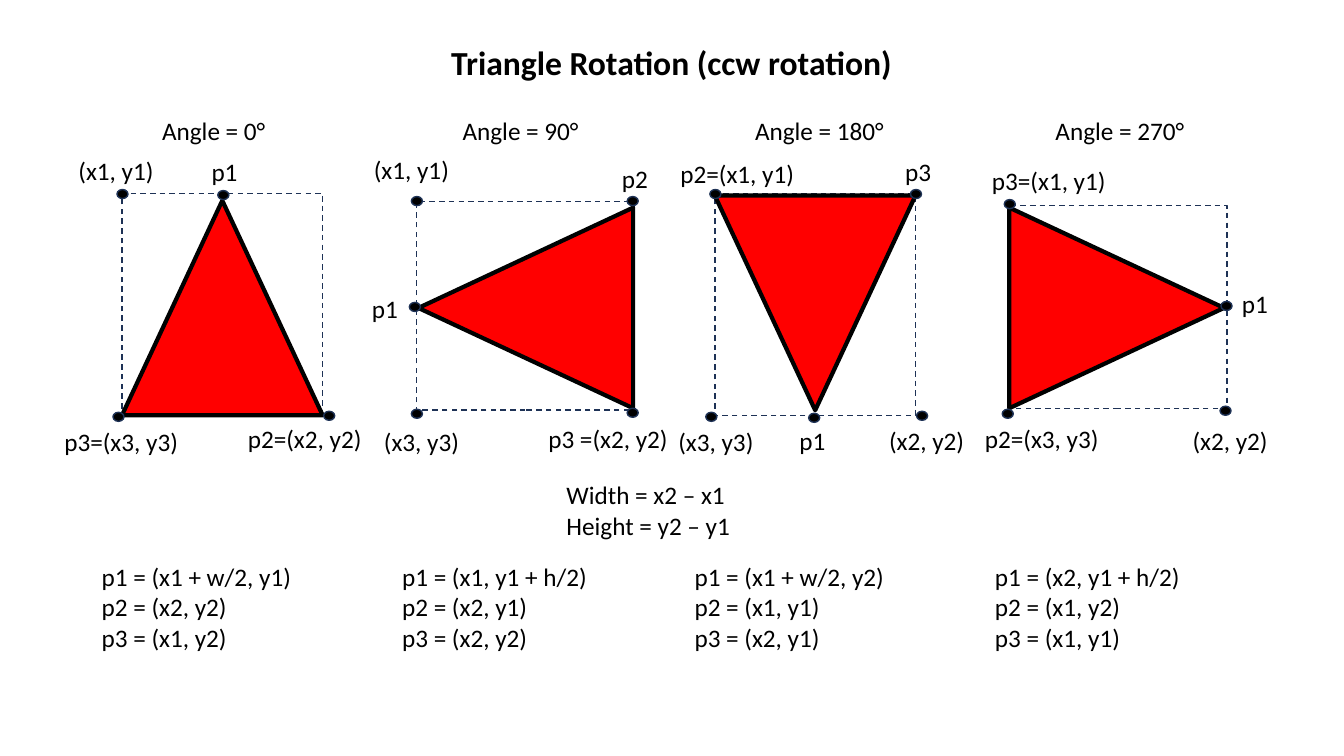
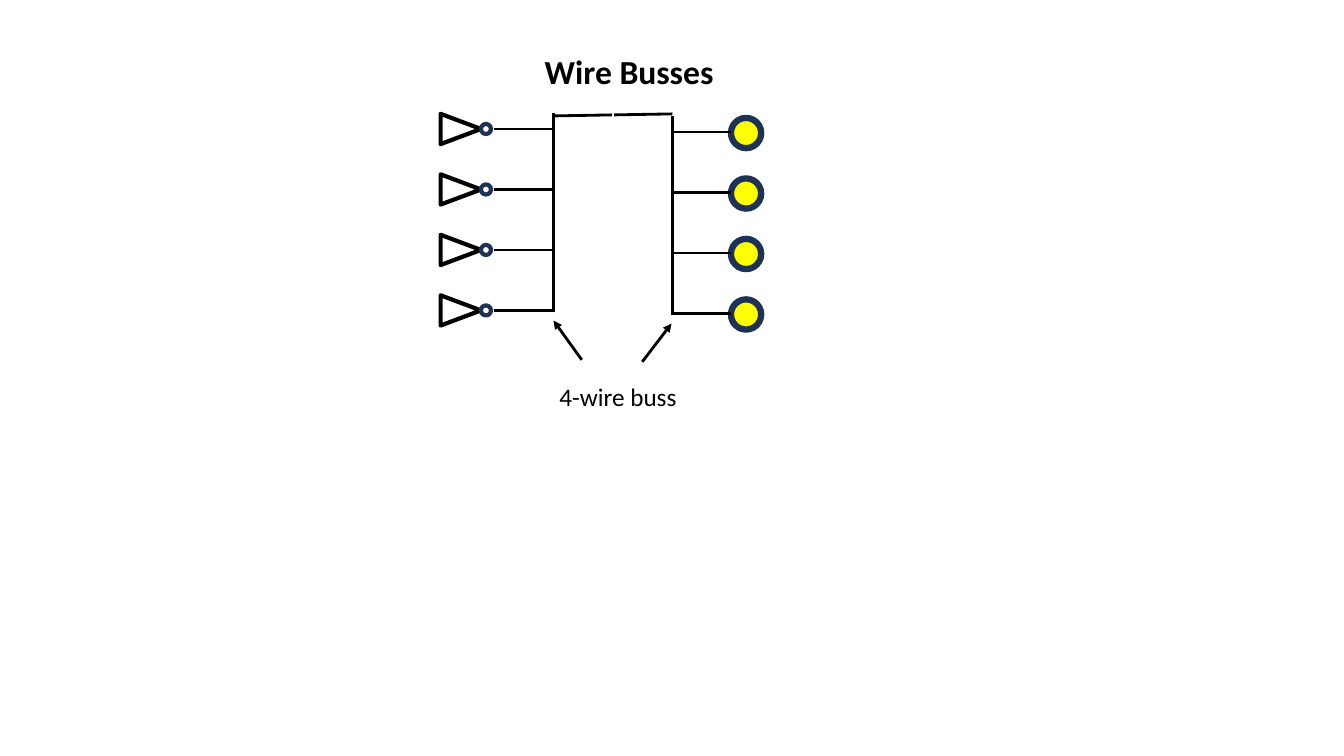
from lxml import etree
from pptx import Presentation
from pptx.dml.color import RGBColor
from pptx.enum.dml import MSO_LINE
from pptx.enum.shapes import MSO_CONNECTOR, MSO_SHAPE
from pptx.enum.text import MSO_ANCHOR, MSO_AUTO_SIZE, PP_ALIGN
from pptx.oxml.ns import qn
from pptx.util import Inches, Pt

RECTANGLE = MSO_SHAPE.RECTANGLE
TRIANGLE = MSO_SHAPE.ISOSCELES_TRIANGLE
OVAL = MSO_SHAPE.OVAL
STRAIGHT = MSO_CONNECTOR.STRAIGHT
DASH = MSO_LINE.DASH
BLACK, WHITE, NAVY, RED, YELLOW = "000000", "FFFFFF", "1E3256", "FF0000", "FFFF00"
FONT = "Calibri"
TITLE_SIZE, BODY_SIZE = 24, 18


def write(box, text, place, size=BODY_SIZE, bold=False, color=BLACK, align=PP_ALIGN.LEFT):
    """Place a text shape (left, top, width, height in inches) and fill it line by line."""
    box.left, box.top, box.width, box.height = map(Inches, place)
    frame = box.text_frame
    frame.text = text
    frame.word_wrap = False
    frame.auto_size = MSO_AUTO_SIZE.SHAPE_TO_FIT_TEXT
    frame.vertical_anchor = MSO_ANCHOR.TOP
    for paragraph in frame.paragraphs:
        paragraph.alignment = align
        font = paragraph.runs[0].font
        font.name, font.size, font.bold = FONT, Pt(size), bold
        font.color.rgb = RGBColor.from_string(color)


def paint(part, line, weight, fill=None, dash=None, arrow=False):
    """Set outline, fill and arrowhead of a shape or connector, without shadow."""
    part.line.color.rgb = RGBColor.from_string(line)
    part.line.width = Pt(weight)
    if dash:
        part.line.dash_style = dash
    if arrow:
        etree.SubElement(part.line._get_or_add_ln(), qn("a:tailEnd"), type="triangle")
    if hasattr(part, "shadow"):
        part.shadow.inherit = False
    else:
        etree.SubElement(part._element.spPr, qn("a:effectLst"))
    if fill:
        part.fill.solid()
        part.fill.fore_color.rgb = RGBColor.from_string(fill)
    elif hasattr(part, "fill"):
        part.fill.background()


deck = Presentation()
deck.slide_width, deck.slide_height = Inches(13.33), Inches(7.5)
slides = []
for title, place in [
    ("Triangle Rotation (ccw rotation)", (4.35, 0.37, 4.62, 0.5)),
    ("Wire Busses", (5.29, 0.45, 1.9, 0.5)),
]:
    slide = deck.slides.add_slide(deck.slide_layouts[5])
    write(slide.shapes.title, title, place, size=TITLE_SIZE, bold=True, align=PP_ALIGN.CENTER)
    slides.append(slide)
rotation, busses = (slide.shapes for slide in slides)

# Triangle rotation: four columns; horizontal offsets are measured from the column's left edge
LINE_HEIGHT, TEXT_MARGINS = 0.3, 0.1
LABEL_WIDTHS = {2: 0.46, 8: 0.96, 11: 1.34, 12: 1.4}
DOT_SIZE = (0.11, 0.09)
TRIANGLE_SIZE = (1.99, 2.13)
# column, angle width, formula width, bounding box, triangle corner, formulas, points
# each point: label, dot left, dot top, label left, label top
panels = [
    (0.91, 1.24, 2.11, (0.3, 1.92, 1.99, 2.2), (0.3, 1.99),
     ("(x1 + w/2, y1)", "(x2, y2)", "(x1, y2)"),
     [("(x1, y1)", 0.25, 1.88, -0.23, 1.49), ("p2=(x2, y2)", 2.3, 4.08, 1.45, 4.15),
      ("p3=(x3, y3)", 0.21, 4.09, -0.37, 4.18), ("p1", 1.25, 1.89, 1.09, 1.5)]),
    (3.89, 1.37, 2.06, (0.24, 2, 2.16, 2.07), (0.33, 1.99),
     ("(x1, y1 + h/2)", "(x2, y1)", "(x2, y2)"),
     [("(x1, y1)", 0.19, 1.95, -0.28, 1.48), ("p3 =(x2, y2)", 2.33, 4.05, 1.45, 4.15),
      ("(x3, y3)", 0.19, 4.06, -0.18, 4.18), ("p1", 0.17, 3, -0.3, 2.86),
      ("p2", 2.33, 1.95, 2.18, 1.57)]),
    (6.79, 1.5, 2.11, (0.3, 1.92, 1.99, 2.2), (0.3, 1.94),
     ("(x1 + w/2, y2)", "(x1, y1)", "(x2, y1)"),
     [("p2=(x1, y1)", 0.25, 1.88, -0.14, 1.52), ("(x2, y2)", 2.3, 4.08, 1.93, 4.17),
      ("(x3, y3)", 0.21, 4.09, -0.16, 4.18), ("p1", 1.23, 4.1, 1.04, 4.17),
      ("p3", 2.24, 1.88, 2.09, 1.5)]),
    (9.77, 1.5, 2.06, (0.25, 2.04, 2.15, 2.01), (0.31, 1.99),
     ("(x2, y1 + h/2)", "(x1, y2)", "(x1, y1)"),
     [("p3=(x1, y1)", 0.19, 1.98, -0.03, 1.59), ("(x2, y2)", 2.33, 4.03, 1.96, 4.17),
      ("p2=(x3, y3)", 0.17, 4.06, -0.1, 4.15), ("p1", 2.34, 2.99, 2.45, 2.81)]),
]
one_line = LINE_HEIGHT + TEXT_MARGINS
for turn, (column, angle_width, formula_width, bounds, corner, formulas, points) in enumerate(panels):
    angle = 90 * turn
    write(rotation.add_textbox(0, 0, 0, 0), f"Angle = {angle}°",
          (column + 0.6, 1.09, angle_width, one_line))
    bounds_left, *bounds_rest = bounds
    bounding_box = rotation.add_shape(
        RECTANGLE, *map(Inches, (column + bounds_left, *bounds_rest)))
    paint(bounding_box, NAVY, 1, dash=DASH)
    triangle = rotation.add_shape(
        TRIANGLE, *map(Inches, (column + corner[0], corner[1], *TRIANGLE_SIZE)))
    triangle.rotation = -angle % 360
    paint(triangle, BLACK, 3, fill=RED)
    for label, dot_left, dot_top, label_left, label_top in points:
        dot = rotation.add_shape(OVAL, *map(Inches, (column + dot_left, dot_top, *DOT_SIZE)))
        paint(dot, NAVY, 1, fill=BLACK)
        write(rotation.add_textbox(0, 0, 0, 0), label,
              (column + label_left, label_top, LABEL_WIDTHS[len(label)], one_line))
    formula_lines = [f"p{number} = {formula}" for number, formula in enumerate(formulas, 1)]
    write(rotation.add_textbox(0, 0, 0, 0), "\n".join(formula_lines),
          (column, 5.52, formula_width, 3 * LINE_HEIGHT + TEXT_MARGINS))
write(rotation.add_textbox(0, 0, 0, 0), "Width = x2 – x1\nHeight = y2 – y1",
      (5.52, 4.71, 1.87, 2 * LINE_HEIGHT + TEXT_MARGINS))

# Wire busses: four rows, inverters on the left and lamps on the right
ROW_PITCH = 0.6
BUS_LEFT, BUS_RIGHT = 5.49, 6.67
wires = [
    (BUS_LEFT, 1.15, 6.07, 1.14, False),
    (6.09, 1.14, BUS_RIGHT, 1.13, False),
    (BUS_LEFT, 3.1, BUS_LEFT, 1.12, False),
    (BUS_RIGHT, 3.13, BUS_RIGHT, 1.15, False),
    (5.77, 3.57, BUS_LEFT, 3.18, True),
    (6.37, 3.59, 6.66, 3.21, True),
]
for row in range(4):
    drop = row * ROW_PITCH
    inverter = busses.add_group_shape().shapes
    gate = inverter.add_shape(TRIANGLE, *map(Inches, (4.42, 1.08 + drop, 0.3, 0.4)))
    gate.rotation = 90
    paint(gate, BLACK, 3, fill=WHITE)
    bubble = inverter.add_shape(OVAL, *map(Inches, (4.77, 1.23 + drop, 0.1, 0.1)))
    paint(bubble, NAVY, 3, fill=WHITE)
    lamp = busses.add_shape(OVAL, *map(Inches, (7.25, 1.17 + drop, 0.3, 0.3)))
    paint(lamp, NAVY, 4.5, fill=YELLOW)
    wires += [
        (4.9, 1.28 + drop, BUS_LEFT, 1.28 + drop, False),
        (BUS_RIGHT, 1.31 + drop, 7.25, 1.31 + drop, False),
    ]
for *ends, arrow in wires:
    paint(busses.add_connector(STRAIGHT, *map(Inches, ends)), BLACK, 2, arrow=arrow)
write(busses.add_textbox(0, 0, 0, 0), "4-wire buss", (5.45, 3.73, 1.38, one_line))

deck.save("out.pptx")
